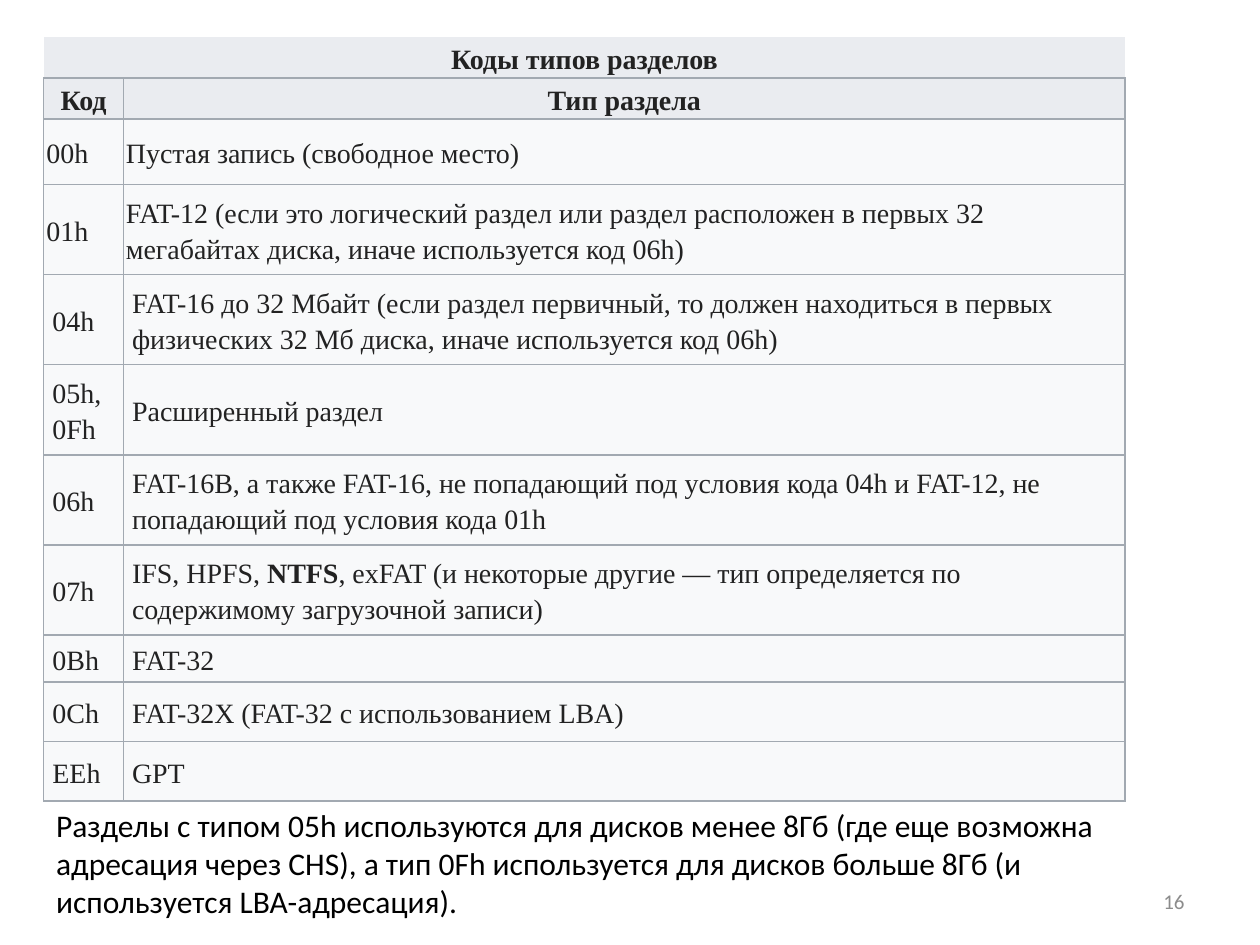
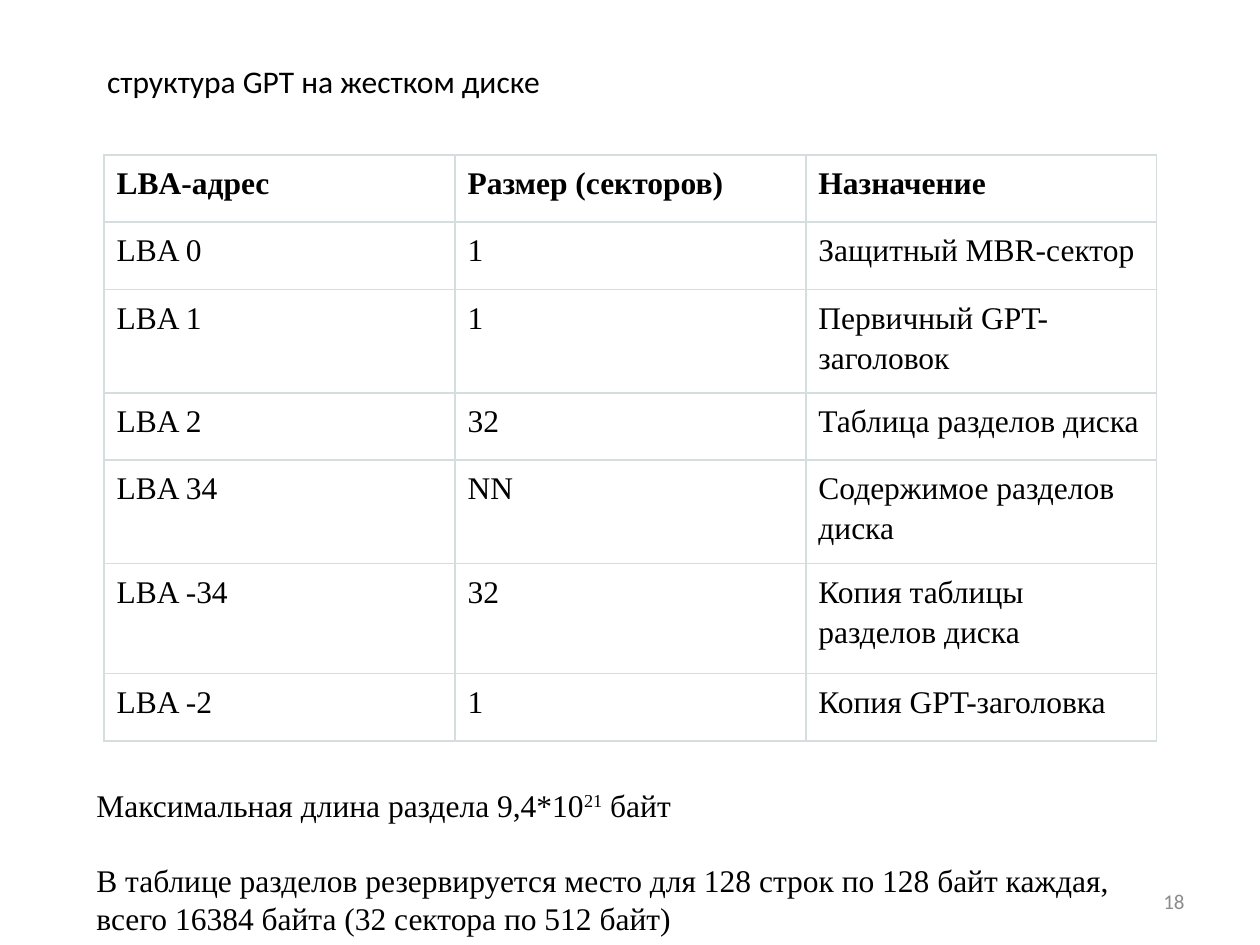
from lxml import etree
from pptx import Presentation
from pptx import util as u
from pptx.dml.color import RGBColor
from pptx.enum import text as t
from pptx.oxml.ns import qn

Pt = u.Pt
HUES = {"ink": "000000", "cell": "222222", "head": "EAECF0", "body": "F8F9FA",
        "edge": "A2A9B1", "rule": "D5DDDF", "page": "8C8C8C"}
SERIF, SANS = "Times New Roman", "Calibri"
SIDES = "LRTB"


def write(para, words, size, face, hue, bold=False):
    """Fill a paragraph with runs split at bars; return the runs."""
    para.font.size, para.font.name, para.font.bold = Pt(size), face, bold
    para.font.color.rgb = RGBColor.from_string(HUES[hue])
    runs = []
    for piece in words.split("|"):
        run = para.add_run()
        run.text = piece
        runs.append(run)
    return runs


def edge(cell, hue, drawn=SIDES):
    """Draw 1 pt borders on the named sides and clear the others."""
    props = cell._tc.get_or_add_tcPr()
    for side in SIDES:
        line = etree.SubElement(props, qn("a:ln" + side), w=str(Pt(1)))
        if side in drawn:
            fill = etree.SubElement(line, qn("a:solidFill"))
            etree.SubElement(fill, qn("a:srgbClr"), val=HUES[hue])
        else:
            etree.SubElement(line, qn("a:noFill"))


codes = [
    ("Коды типов разделов", ""),
    ("Код", "Тип раздела"),
    ("00h", "Пустая запись (свободное место)"),
    ("01h", "FAT-12 (если это логический раздел или раздел расположен в первых 32 "
            "мегабайтах диска, иначе используется код 06h)"),
    ("04h", "FAT-16 до 32 Мбайт (если раздел первичный, то должен находиться в первых "
            "физических 32 Мб диска, иначе используется код 06h)"),
    ("05h, 0Fh", "Расширенный раздел"),
    ("06h", "FAT-16B, а также FAT-16, не попадающий под условия кода 04h и FAT-12, не "
            "попадающий под условия кода 01h"),
    ("07h", "IFS, HPFS, |NTFS|, exFAT (и некоторые другие — тип определяется по "
            "содержимому загрузочной записи)"),
    ("0Bh", "FAT-32"),
    ("0Ch", "FAT-32X (FAT-32 с использованием LBA)"),
    ("EEh", "GPT"),
]
layout = [
    ("LBA-адрес", "Размер (секторов)", "Назначение"),
    ("LBA 0", "1", "Защитный MBR-сектор"),
    ("LBA 1", "1", "Первичный GPT-заголовок"),
    ("LBA 2", "32", "Таблица разделов диска"),
    ("LBA 34", "NN", "Содержимое разделов диска"),
    ("LBA -34", "32", "Копия таблицы разделов диска"),
    ("LBA -2", "1", "Копия GPT-заголовка"),
]

deck = Presentation()
deck.slide_width, deck.slide_height = Pt(720), Pt(540)
first = deck.slides.add_slide(deck.slide_layouts[6])
second = deck.slides.add_slide(deck.slide_layouts[5])

# Tables: slide, rows, left, top, column widths, row heights
grids = []
for slide, rows, left, top, wide, high in (
    (first, codes, 25, 21, [45.5, 572.5], [23.5, 23.5, 37.5] + [51.5] * 5 + [27, 34, 34]),
    (second, layout, 59.5, 88.5, [200.5] * 3, [38.5, 38.5, 59, 38.5, 59, 63, 38.5]),
):
    grid = slide.shapes.add_table(len(rows), len(wide), Pt(left), Pt(top),
                                  Pt(sum(wide)), Pt(sum(high))).table
    grid.first_row = grid.horz_banding = False
    for col, width in zip(grid.columns, wide):
        col.width = Pt(width)
    for row, height in zip(grid.rows, high):
        row.height = Pt(height)
    grids.append(grid)
kinds, parts = grids
kinds.cell(0, 0).merge(kinds.cell(0, 1))

for r, row in enumerate(codes):
    head = r < 2
    for c, words in enumerate(row):
        cell = kinds.cell(r, c)
        edge(cell, "edge", SIDES if r else "B")
        cell.fill.solid()
        cell.fill.fore_color.rgb = RGBColor.from_string(HUES["head" if head else "body"])
        cell.vertical_anchor = t.MSO_ANCHOR.MIDDLE
        cell.margin_left = cell.margin_right = Pt(1.5 if r < 4 else 5)
        cell.margin_top = cell.margin_bottom = Pt(0.75 if r < 4 else 2)
        para = cell.text_frame.paragraphs[0]
        para.line_spacing = 1.15
        para.alignment = t.PP_ALIGN.CENTER if head else t.PP_ALIGN.LEFT
        if words:
            for run in write(para, words, 16, SERIF, "cell", head)[1::2]:
                run.font.bold = True

for r, row in enumerate(layout):
    for c, words in enumerate(row):
        cell = parts.cell(r, c)
        edge(cell, "rule")
        cell.fill.background()
        cell.margin_left = cell.margin_right = Pt(7.2)
        cell.margin_top, cell.margin_bottom = Pt(3.6), Pt(6)
        para = cell.text_frame.paragraphs[0]
        para.line_spacing = 1.15
        write(para, words, 18, SERIF, "ink", r == 0)

# Title of the second slide
title = second.shapes.title
title.left, title.top, title.width, title.height = Pt(54), Pt(32), Pt(487.5), Pt(29)
frame = title.text_frame
frame.auto_size = t.MSO_AUTO_SIZE.NONE
frame.vertical_anchor = t.MSO_ANCHOR.TOP
frame.paragraphs[0].alignment = t.PP_ALIGN.LEFT
write(frame.paragraphs[0], "структура GPT на жестком диске", 18, SANS, "ink")

# Notes under the tables and page numbers
for slide, box, face, lines, page in (
    (first, (25, 457, 646.5, 73), SANS,
     ["Разделы с типом 05h используются для дисков менее 8Гб (где еще возможна "
      "адресация через CHS), а тип 0Fh используется для дисков больше 8Гб (и "
      "используется LBA-адресация)."], "16"),
    (second, (48, 445.5, 635, 94.5), SERIF,
     ["Максимальная длина раздела 9,4*10|21| байт",
      "В таблице разделов резервируется место для 128 строк по 128 байт каждая, "
      "всего 16384 байта (32 сектора по 512 байт)"], "18"),
):
    frame = slide.shapes.add_textbox(*map(Pt, box)).text_frame
    frame.word_wrap = True
    for i, words in enumerate(lines):
        para = frame.add_paragraph() if i else frame.paragraphs[0]
        if i:
            para.space_before = Pt(21.5)
        for run in write(para, words, 18, face, "ink")[1::2]:
            run.font._element.set("baseline", "30000")
    frame = slide.shapes.add_textbox(Pt(516), Pt(500.5), Pt(168), Pt(28.5)).text_frame
    frame.word_wrap = True
    frame.vertical_anchor = t.MSO_ANCHOR.MIDDLE
    frame.paragraphs[0].alignment = t.PP_ALIGN.RIGHT
    write(frame.paragraphs[0], page, 12, SANS, "page")

deck.save("out.pptx")
